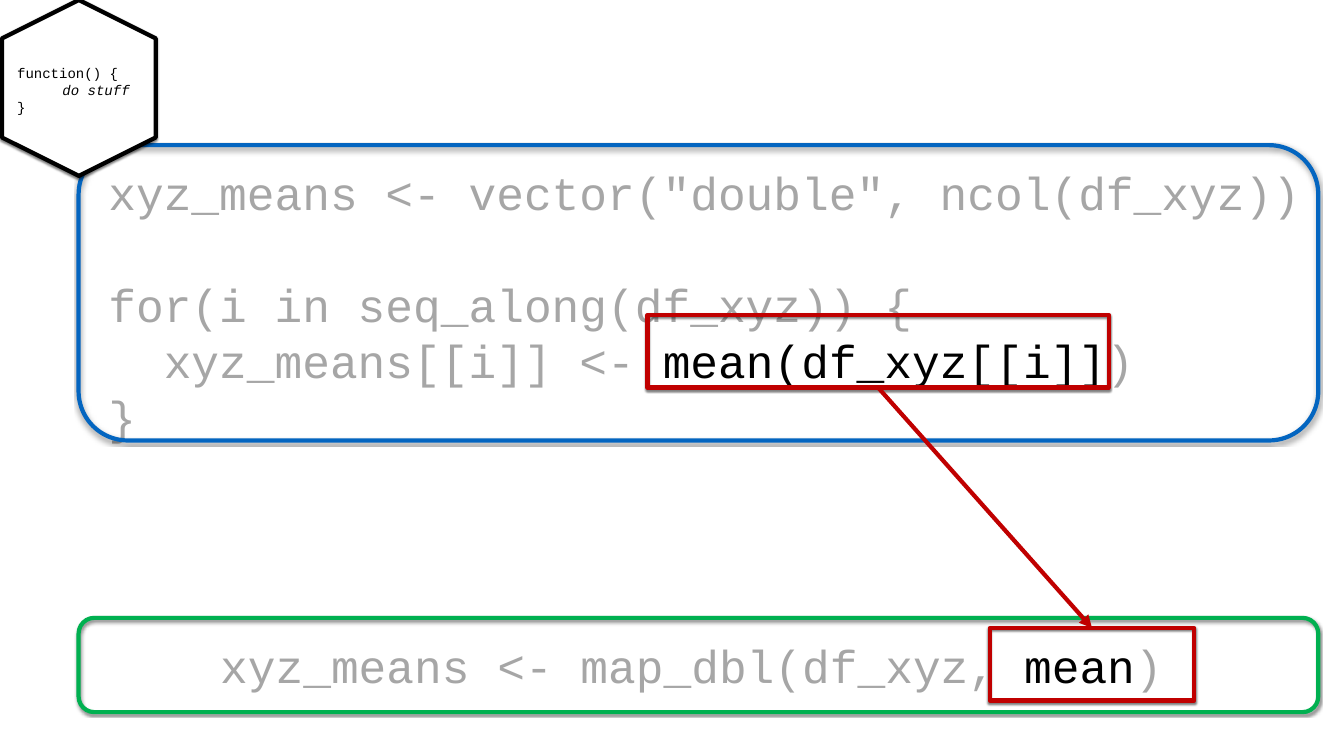
from lxml import etree
from pptx import Presentation
from pptx import util as u
from pptx.dml.color import RGBColor
from pptx.enum import shapes, text
from pptx.oxml import ns

SCALE = 9144
FONT = "Courier New"
GREY, BLACK, WHITE = "A6A6A6", "000000", "FFFFFF"
BLUE, GREEN, RED = "0365C0", "00B050", "C00000"
KIND = shapes.MSO_SHAPE


def px(length):
    return u.Emu(length * SCALE)


def colour(value):
    return RGBColor.from_string(value)


def add_element(parent, tag, **attributes):
    return etree.SubElement(parent, ns.qn(tag), attributes)


def add_shadow(shape):
    effects = shape._element.spPr.find(ns.qn("a:effectLst"))
    shadow = add_element(effects, "a:outerShdw", blurRad=str(u.Pt(3)),
                         dist=str(u.Pt(2)), dir="5400000", rotWithShape="0")
    tint = add_element(shadow, "a:srgbClr", val=BLACK)
    add_element(tint, "a:alpha", val="50000")


def add_outline(parent, kind, box, line, fill=None):
    shape = parent.shapes.add_shape(kind, *map(px, box))
    shape.shadow.inherit = False
    if fill:
        shape.fill.solid()
        shape.fill.fore_color.rgb = colour(fill)
    else:
        shape.fill.background()
    shape.line.color.rgb = colour(line)
    shape.line.width = u.Pt(6)
    add_shadow(shape)
    return shape


def prepare_frame(shape):
    frame = shape.text_frame
    frame.word_wrap = True
    frame.vertical_anchor = text.MSO_ANCHOR.MIDDLE
    frame.margin_left = frame.margin_right = px(6)
    frame.margin_top = frame.margin_bottom = px(6)
    return frame


def write_lines(frame, lines, size, pitch):
    for index, spans in enumerate(lines):
        para = frame.add_paragraph() if index else frame.paragraphs[0]
        para.alignment = text.PP_ALIGN.LEFT
        para.line_spacing = u.Pt(pitch)
        para.font.name = FONT
        para.font.size = u.Pt(size)
        for words, tint in spans:
            span = para.add_run()
            span.text = words
            span.font.color.rgb = colour(tint)
    return frame.paragraphs


def code_panel(page, box, inset, line, lines):
    left, top, width, height = box
    dx, dy, text_width, text_height = inset
    group = page.shapes.add_group_shape()
    label = group.shapes.add_textbox(px(left + dx), px(top + dy),
                                     px(text_width), px(text_height))
    paragraphs = write_lines(prepare_frame(label), lines, 66, 80)
    add_outline(group, KIND.ROUNDED_RECTANGLE, box, line)
    return paragraphs


def function_badge(page, box):
    left, top, width, height = box
    group = page.shapes.add_group_shape()
    hexagon_box = (left + (width - height) // 2, top + (height - width) // 2, height, width)
    hexagon = add_outline(group, KIND.HEXAGON, hexagon_box, BLACK, WHITE)
    hexagon.rotation = 270
    label = group.shapes.add_shape(KIND.RECTANGLE, px(left + 24), px(top + 122),
                                   px(257), px(112))
    label.shadow.inherit = False
    label.fill.solid()
    label.fill.fore_color.rgb = colour(WHITE)
    label.line.fill.background()
    lines = [[("function() {", BLACK)], [("do stuff", BLACK)], [("}", BLACK)]]
    body = write_lines(prepare_frame(label), lines, 20, 24)[1]
    body._p.get_or_add_pPr().set("marL", str(px(90)))
    body.font.italic = True


def link_highlights(page, source_box, target_box):
    source, target = (add_outline(page, KIND.RECTANGLE, box, RED)
                      for box in (source_box, target_box))
    arrow = page.shapes.add_connector(shapes.MSO_CONNECTOR.STRAIGHT, 0, 0, 0, 0)
    arrow.begin_connect(source, 2)
    arrow.end_connect(target, 0)
    arrow.line.color.rgb = colour(RED)
    arrow.line.width = u.Pt(6)
    add_element(arrow.line._get_or_add_ln(), "a:tailEnd", type="triangle")
    add_element(arrow._element.spPr, "a:effectLst")


def main():
    deck = Presentation()
    deck.slide_width, deck.slide_height = px(2667), px(1500)
    page = deck.slides.add_slide(deck.slide_layouts[6])
    loop_lines = [
        [('xyz_means <- vector("double", ncol(df_xyz))', GREY)],
        [("for(i in seq_along(df_xyz)) {", GREY)],
        [("  xyz_means[[i]] <- ", GREY), ("mean(df_xyz[[i]]", BLACK), (")", GREY)],
        [("}", GREY)],
    ]
    map_lines = [[("xyz_means <- map_dbl(df_xyz, ", GREY), ("mean", BLACK), (")", GREY)]]
    loop = code_panel(page, (156, 288, 2460, 586), (53, 32, 2407, 567), BLUE, loop_lines)
    loop[1].space_before = u.Pt(80)
    code_panel(page, (156, 1226, 2460, 187), (275, 32, 1910, 122), GREEN, map_lines)
    function_badge(page, (4, 0, 305, 349))
    link_highlights(page, (1285, 625, 915, 144), (1964, 1246, 406, 144))
    deck.save("out.pptx")


if __name__ == "__main__":
    main()
